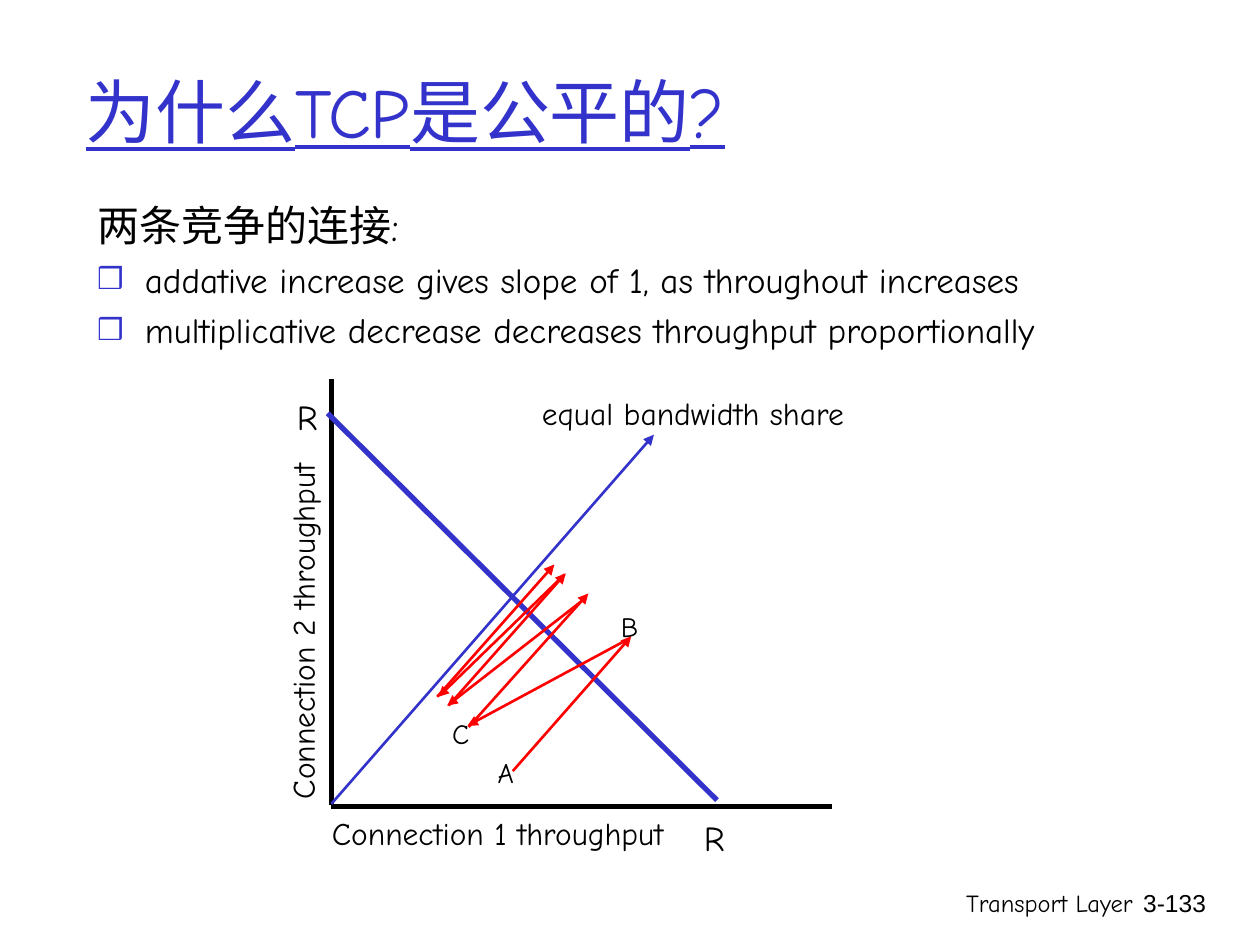
from dataclasses import dataclass

from lxml.etree import SubElement
from pptx import Presentation
from pptx.dml.color import RGBColor
from pptx.enum.shapes import MSO_CONNECTOR
from pptx.enum.text import MSO_ANCHOR, MSO_AUTO_SIZE, PP_ALIGN
from pptx.oxml.ns import qn
from pptx.util import Inches, Pt

BLACK = RGBColor(0x00, 0x00, 0x00)
BLUE = RGBColor(0x33, 0x33, 0xCC)
RED = RGBColor(0xFF, 0x00, 0x00)
HAND_FONT = "Comic Neue"
PLAIN_FONT = "Arial"

# The slide is a grid of 100 columns by 75 rows
COLUMNS, ROWS = 100, 75
WIDTH, HEIGHT = Inches(10), Inches(7.5)


def across(columns: float) -> int:
    return round(WIDTH * columns / COLUMNS)


def down(rows: float) -> int:
    return round(HEIGHT * rows / ROWS)


@dataclass
class Label:
    text: str
    left: float
    top: float
    width: float
    height: float
    size: float
    before: float = 0
    align: PP_ALIGN = PP_ALIGN.CENTER
    font: str = HAND_FONT
    rotation: float = 0


@dataclass
class Stroke:
    start: tuple[float, float]
    end: tuple[float, float]
    color: RGBColor
    weight: float
    arrow: bool = False


def style(para, size: float, color: RGBColor = BLACK, font: str = HAND_FONT) -> None:
    para.font.size = Pt(size)
    para.font.name = font
    para.font.color.rgb = color


def place(shape, left: float, top: float, width: float, height: float) -> None:
    shape.left, shape.top = across(left), down(top)
    shape.width, shape.height = across(width), down(height)


def draw_label(page, label: Label) -> None:
    box = page.shapes.add_textbox(0, 0, 0, 0)
    place(box, label.left, label.top, label.width, label.height)
    box.rotation = label.rotation
    box.text_frame.word_wrap = True
    para = box.text_frame.paragraphs[0]
    para.text = label.text
    para.alignment = label.align
    para.space_before = Pt(label.before)
    style(para, label.size, font=label.font)


def draw_stroke(page, stroke: Stroke) -> None:
    (x1, y1), (x2, y2) = stroke.start, stroke.end
    line = page.shapes.add_connector(
        MSO_CONNECTOR.STRAIGHT, across(x1), down(y1), across(x2), down(y2))
    line.line.color.rgb = stroke.color
    line.line.width = Pt(stroke.weight)
    if stroke.arrow:
        SubElement(line.line._get_or_add_ln(), qn("a:tailEnd"), type="triangle")
    SubElement(line._element.spPr, qn("a:effectLst"))


def format_list_item(para, bullet: str = "") -> None:
    properties = para._p.get_or_add_pPr()
    properties.set("marL", str(Inches(0.38)))
    properties.set("indent", str(-Inches(0.38)))
    if not bullet:
        SubElement(properties, qn("a:buNone"))
        return
    color = SubElement(properties, qn("a:buClr"))
    SubElement(color, qn("a:srgbClr"), val=str(BLUE))
    SubElement(properties, qn("a:buSzPct"), val="85000")
    SubElement(properties, qn("a:buFont"), typeface=PLAIN_FONT)
    SubElement(properties, qn("a:buChar"), char=bullet)


def fill_title(title) -> None:
    place(title, 5.8, 2.5, 85, 12.5)
    frame = title.text_frame
    frame.auto_size = MSO_AUTO_SIZE.NONE
    frame.vertical_anchor = MSO_ANCHOR.MIDDLE
    para = frame.paragraphs[0]
    para.text = "为什么TCP是公平的?"
    para.alignment = PP_ALIGN.LEFT
    style(para, 40, BLUE)
    para.font.underline = True


def fill_body(body) -> None:
    place(body, 6.7, 15.3, 90.8, 50.8)
    frame = body.text_frame
    frame.auto_size = MSO_AUTO_SIZE.NONE
    items = [
        ("两条竞争的连接:", 24, 6, ""),
        ("addative increase gives slope of 1, as throughout increases", 20, 5, "❒"),
        ("multiplicative decrease decreases throughput proportionally", 20, 5, "❒"),
    ]
    frame.text = "\n".join(item[0] for item in items)
    for para, (_, size, before, bullet) in zip(frame.paragraphs, items):
        para.space_before = Pt(before)
        style(para, size)
        format_list_item(para, bullet)


FOOTER = [
    Label("Transport Layer", 59.2, 70, 31.7, 5, 14, align=PP_ALIGN.RIGHT),
    Label("3-133", 89.3, 70, 7.4, 5, 14, align=PP_ALIGN.RIGHT, font=PLAIN_FONT),
]

# Axes, equal share line and full bandwidth line
FRAME = [
    Stroke((26.3, 64), (66, 64), BLACK, 3),
    Stroke((26.3, 63.9), (26.3, 30.1), BLACK, 3),
    Stroke((26.3, 63.8), (51.9, 34.5), BLUE, 1.5, arrow=True),
    Stroke((26, 32.8), (56.9, 63.5), BLUE, 3),
]

# Each throughput step: additive increases rise, multiplicative decreases fall
STEPS = [
    ((40.7, 61.2), (50.1, 50.5)),
    ((49.9, 50.7), (37.1, 57.6)),
    ((37.2, 57.7), (46.7, 47.1)),
    ((46.3, 47.6), (35.5, 56)),
    ((35.6, 56), (44.9, 45.5)),
    ((44.8, 45.6), (34.8, 55.3)),
    ((34.7, 55.3), (44, 44.8)),
]

AXIS_LABELS = [
    *(Label("R", left, top, 4.4, 4.4, 20, 12.5)
      for left, top in [(22.2, 30.9), (54.5, 64.3)]),
    *(Label(text, left, top, 38.8, 4, 18, 11.2, rotation=turn)
      for text, left, top, turn in [
          ("equal bandwidth share", 35.6, 30.8, 0),
          ("Connection 1 throughput", 20.1, 64.1, 0),
          ("Connection 2 throughput", 4.6, 48.1, 270)]),
]

POINT_LABELS = [
    Label(text, left, top, width, 3.7, 16)
    for text, left, top, width in [
        ("A", 38.5, 59.5, 2.1), ("B", 48.3, 47.9, 2.8), ("C", 34.9, 56.4, 2)]
]


def main() -> None:
    deck = Presentation()
    deck.slide_width, deck.slide_height = WIDTH, HEIGHT
    page = deck.slides.add_slide(deck.slide_layouts[1])

    # Title and list
    fill_title(page.shapes.title)
    fill_body(page.placeholders[1])

    # Throughput diagram
    steps = [Stroke(start, end, RED, 1.5, arrow=True) for start, end in STEPS]
    for stroke in FRAME + steps:
        draw_stroke(page, stroke)
    for label in AXIS_LABELS + POINT_LABELS + FOOTER:
        draw_label(page, label)

    deck.save("out.pptx")


if __name__ == "__main__":
    main()
